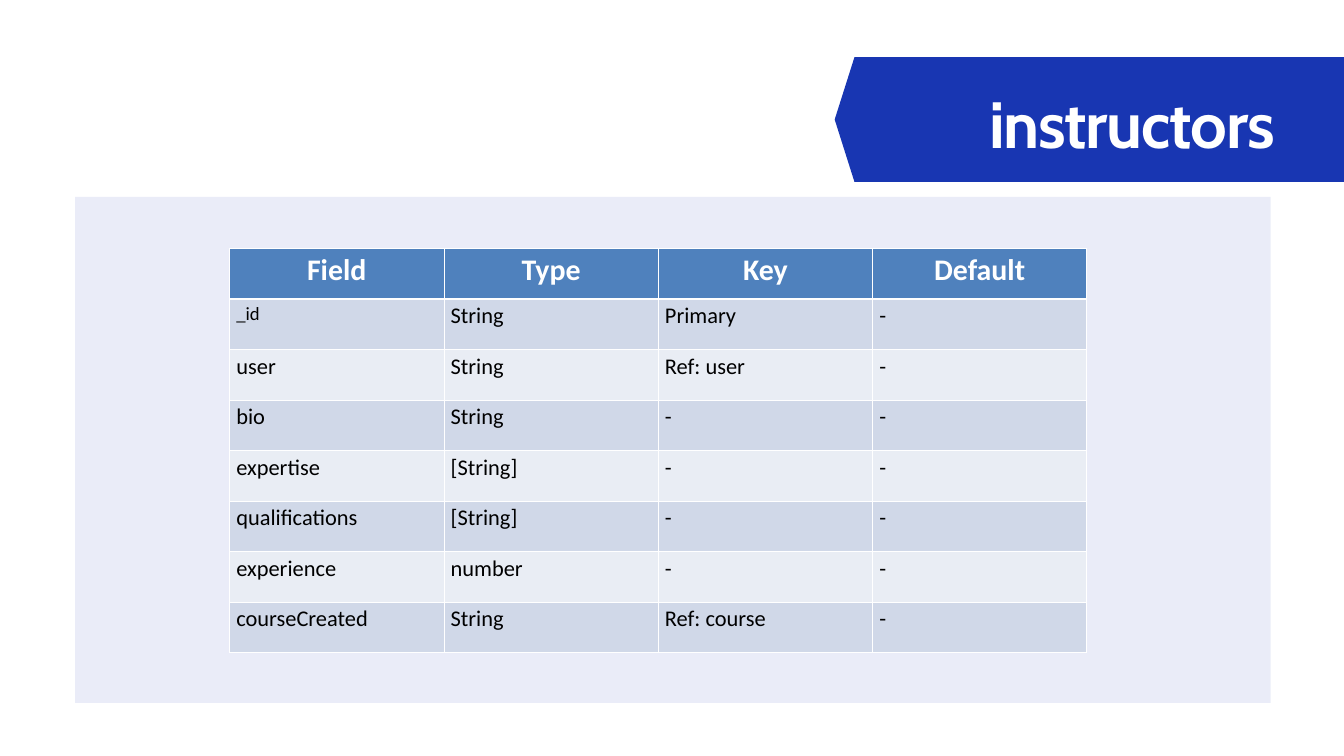
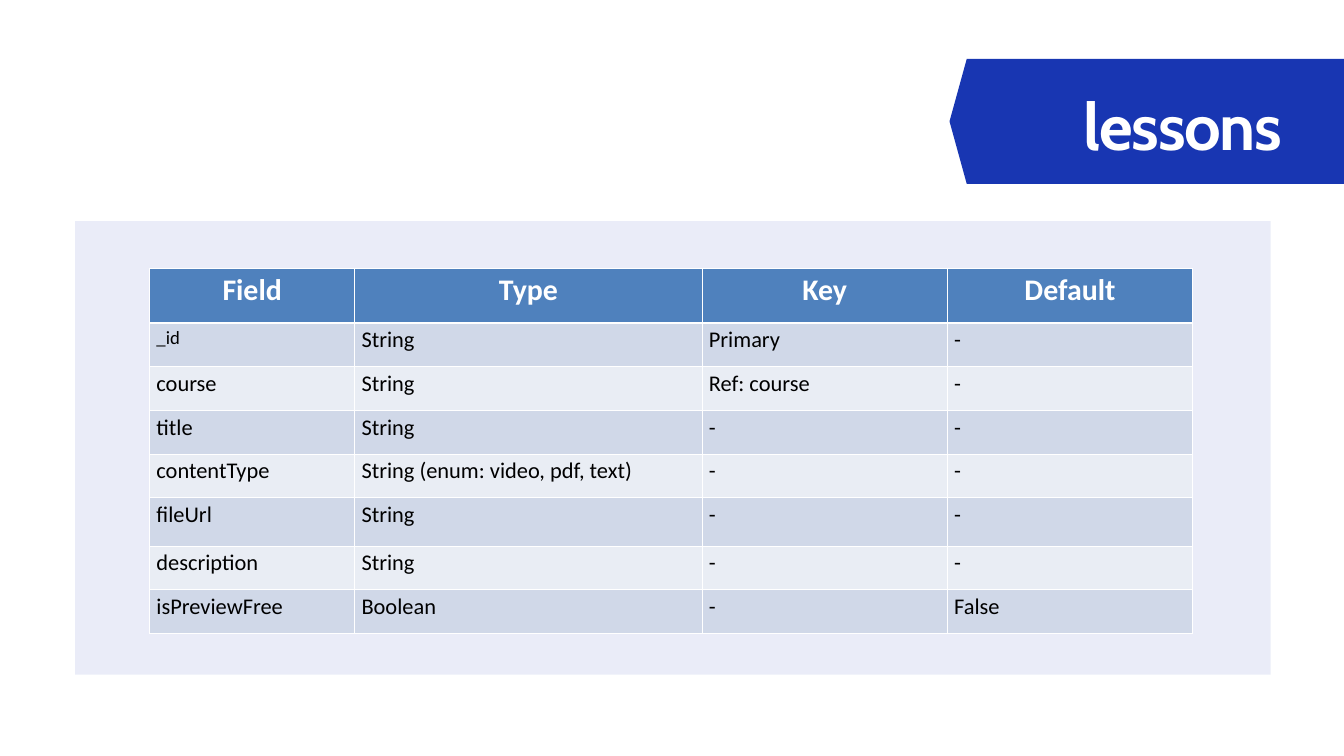
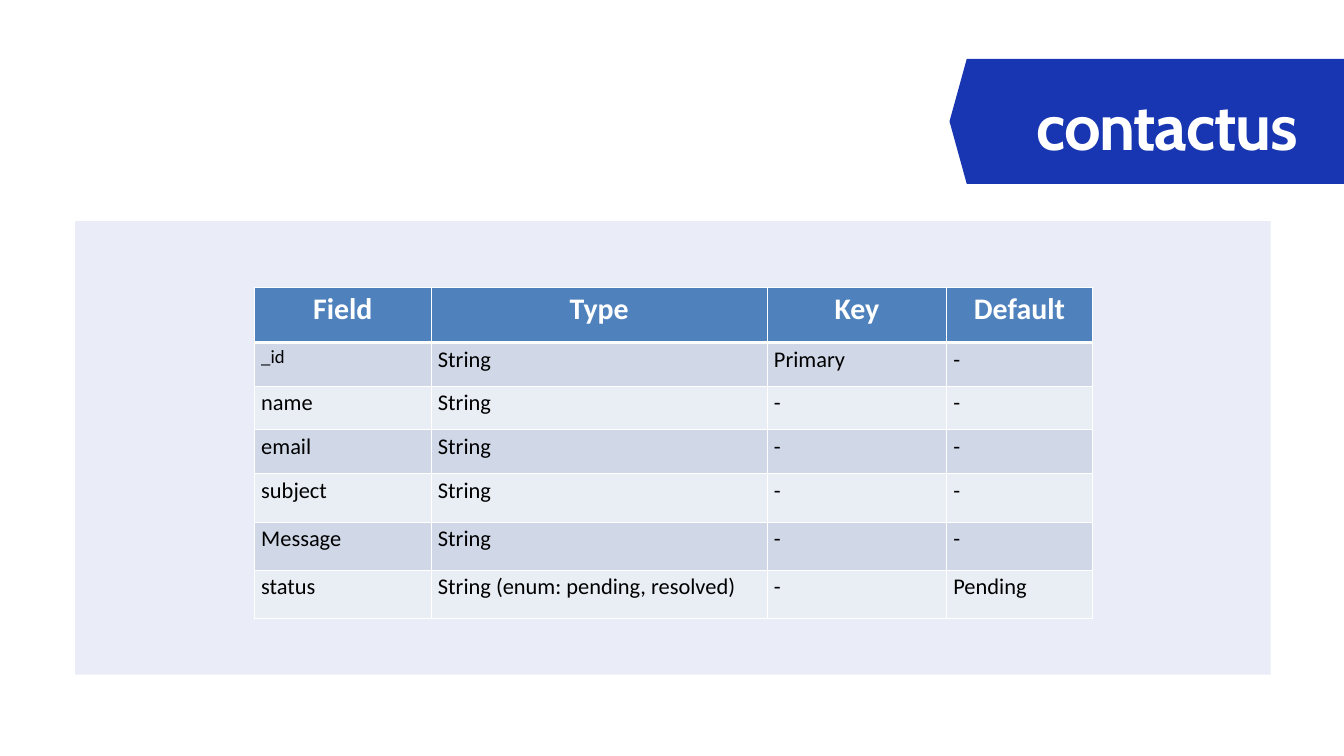
from collections import namedtuple

from lxml import etree
from pptx import Presentation
from pptx.dml.color import RGBColor
from pptx.enum import shapes, text
from pptx.oxml import ns
from pptx.util import Cm, Pt

COLORS = {
    "brand": "1836B2",
    "header": "4F81BD",
    "band_dark": "D0D8E8",
    "band_light": "E9EDF4",
    "white": "FFFFFF",
    "black": "000000",
}
TITLE_FONT = "Cabin"
TABLE_FONT = "Calibri"
HEADINGS = ["Field", "Type", "Key", "Default"]

Box = namedtuple("Box", "left top width height")

WIDE_BANNER = Box(31.55, 2.16, 20.22, 4.72)
BANNER = Box(35.89, 2.23, 17.58, 4.72)
TALL_PANEL = Box(2.84, 7.44, 45.19, 19.13)
PANEL = Box(2.84, 8.36, 45.19, 17.15)

COLLECTIONS = [
    {
        "title": "instructors",
        "banner": WIDE_BANNER,
        "title_inset": 5.84,
        "panel": TALL_PANEL,
        "table_inset": (5.84, 1.96),
        "columns": [8.1] * 4,
        "rows": [1.91] * 8,
        "fields": [
            ("_id", "String", "Primary", "-"),
            ("user", "String", "Ref: user", "-"),
            ("bio", "String", "-", "-"),
            ("expertise", "[String]", "-", "-"),
            ("qualifications", "[String]", "-", "-"),
            ("experience", "number", "-", "-"),
            ("courseCreated", "String", "Ref: course", "-"),
        ],
    },
    {
        "title": "lessons",
        "banner": BANNER,
        "title_inset": 5.08,
        "panel": PANEL,
        "table_inset": (2.82, 1.78),
        "columns": [7.75, 13.13, 9.27, 9.27],
        "rows": [2.08] + [1.65] * 4 + [1.83] + [1.65] * 2,
        "fields": [
            ("_id", "String", "Primary", "-"),
            ("course", "String", "Ref: course", "-"),
            ("title", "String", "-", "-"),
            ("contentType", "String (enum: video, pdf, text)", "-", "-"),
            ("fileUrl", "String", "-", "-"),
            ("description", "String", "-", "-"),
            ("isPreviewFree", "Boolean", "-", "False"),
        ],
    },
    {
        "title": "contactus",
        "banner": BANNER,
        "title_inset": 3.28,
        "panel": PANEL,
        "table_inset": (6.78, 2.51),
        "columns": [6.68, 12.7, 6.78, 5.51],
        "rows": [2.08] + [1.65] * 3 + [1.83] * 3,
        "fields": [
            ("_id", "String", "Primary", "-"),
            ("name", "String", "-", "-"),
            ("email", "String", "-", "-"),
            ("subject", "String", "-", "-"),
            ("Message", "String", "-", "-"),
            ("status", "String (enum: pending, resolved)", "-", "Pending"),
        ],
    },
]


def color(name):
    return RGBColor.from_string(COLORS[name])


def paint(shape, name):
    shape.shadow.inherit = False
    shape.fill.solid()
    shape.fill.fore_color.rgb = color(name)
    shape.line.fill.background()


def style_font(paragraph, face, size, name, bold):
    font = paragraph.font
    font.name = face
    font.size = Pt(size)
    font.bold = bold
    font.color.rgb = color(name)


def add_banner(page, box, title_text, title_inset):
    point = box.width / 27
    right, bottom, middle = box.left + box.width, box.top + box.height, box.top + box.height / 2
    outline = [
        (right - point, box.top),
        (right, middle),
        (right - point, bottom),
        (box.left + point, bottom),
        (box.left, middle),
    ]
    builder = page.shapes.build_freeform(Cm(box.left + point), Cm(box.top))
    builder.add_line_segments([(Cm(x), Cm(y)) for x, y in outline], close=True)
    banner = builder.convert_to_shape()
    paint(banner, "brand")

    title = page.shapes.title
    title.element.addprevious(banner.element)
    title.left, title.top = Cm(box.left + title_inset), Cm(box.top + 0.48)
    title.width, title.height = Cm(box.width * 0.715), Cm(3.28)
    frame = title.text_frame
    frame.margin_left = frame.margin_top = frame.margin_right = frame.margin_bottom = 0
    frame.vertical_anchor = text.MSO_ANCHOR.TOP
    frame.word_wrap = True
    frame.auto_size = text.MSO_AUTO_SIZE.SHAPE_TO_FIT_TEXT
    paragraph = frame.paragraphs[0]
    paragraph.alignment = text.PP_ALIGN.LEFT
    paragraph.line_spacing = Pt(98)
    span = paragraph.add_run()
    span.text = title_text
    span.font.fill
    span.font.language_id = None
    style_font(paragraph, TITLE_FONT, 70, "white", True)
    span._r.get_or_add_rPr().set("spc", "-140")


def add_panel(page, box):
    panel = page.shapes.add_shape(
        shapes.MSO_SHAPE.RECTANGLE, Cm(box.left), Cm(box.top), Cm(box.width), Cm(box.height)
    )
    paint(panel, "brand")
    tint = panel.element.spPr.find(".//" + ns.qn("a:srgbClr"))
    etree.SubElement(tint, ns.qn("a:alpha")).set("val", "9000")


def draw_borders(cell, top, bottom):
    properties = cell._tc.get_or_add_tcPr()
    for side, width in (("L", 1), ("R", 1), ("T", top), ("B", bottom)):
        line = etree.SubElement(properties, ns.qn("a:ln" + side), w=str(Pt(width)))
        fill = etree.SubElement(line, ns.qn("a:solidFill"))
        etree.SubElement(fill, ns.qn("a:srgbClr"), val=COLORS["white"])


def fill_cell(cell, value, row):
    is_header = row == 0
    draw_borders(cell, 3 if row == 1 else 1, 3 if is_header else 1)
    cell.fill.solid()
    band = "band_dark" if row % 2 else "band_light"
    cell.fill.fore_color.rgb = color("header" if is_header else band)
    cell.text = value
    paragraph = cell.text_frame.paragraphs[0]
    if is_header:
        paragraph.alignment = text.PP_ALIGN.CENTER
        style_font(paragraph, TABLE_FONT, 32, "white", True)
    else:
        style_font(paragraph, TABLE_FONT, 20 if value == "_id" else 24, "black", False)


def add_field_table(page, panel, inset, columns, rows, fields):
    records = [HEADINGS, *fields]
    table = page.shapes.add_table(
        len(rows), len(columns),
        Cm(panel.left + inset[0]), Cm(panel.top + inset[1]),
        Cm(sum(columns)), Cm(sum(rows)),
    ).table
    for column, width in zip(table.columns, columns):
        column.width = Cm(width)
    for row, height in zip(table.rows, rows):
        row.height = Cm(height)
    for row, record in enumerate(records):
        for column, value in enumerate(record):
            fill_cell(table.cell(row, column), value, row)


def add_collection_page(deck, collection):
    page = deck.slides.add_slide(deck.slide_layouts[5])
    add_banner(page, collection["banner"], collection["title"], collection["title_inset"])
    add_panel(page, collection["panel"])
    add_field_table(
        page, collection["panel"], collection["table_inset"],
        collection["columns"], collection["rows"], collection["fields"],
    )


def main():
    deck = Presentation()
    deck.slide_width, deck.slide_height = Cm(50.8), Cm(28.58)
    for collection in COLLECTIONS:
        add_collection_page(deck, collection)
    deck.save("out.pptx")


if __name__ == "__main__":
    main()
